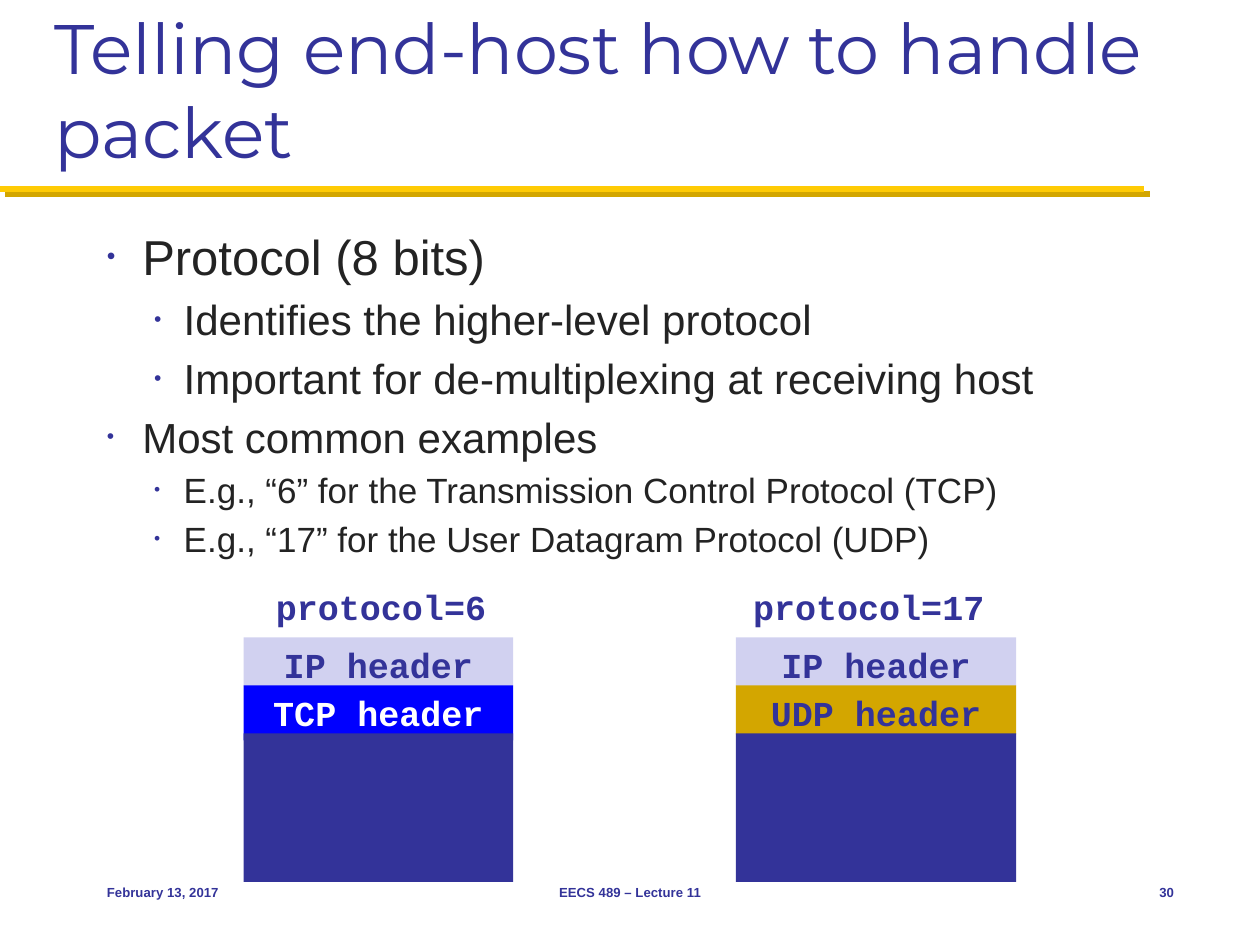
import pptx
import pptx.util
import pptx.dml.color
import pptx.enum.shapes
import pptx.enum.text
import pptx.oxml
import pptx.oxml.ns

Pt = pptx.util.Pt
ALIGN = pptx.enum.text.PP_ALIGN
ANCHOR = pptx.enum.text.MSO_ANCHOR

THEME = {
    "navy": "333399", "ink": "232323", "gold": "FFCB05", "dark_gold": "D3A600",
    "lilac": "D1D1F0", "blue": "0000FF", "white": "FFFFFF",
    "title_font": "Montserrat", "body_font": "Arial", "code_font": "Courier New",
    "title_size": 40, "code_size": 20, "footer_size": 7.5,
}

TITLE = "Telling end-host how to handle packet"
BULLETS = [  # level, size, text
    (0, 28, "Protocol (8 bits)"),
    (1, 24, "Identifies the higher-level protocol"),
    (1, 24, "Important for de-multiplexing at receiving host"),
    (0, 24, "Most common examples"),
    (1, 20, "E.g., “6” for the Transmission Control Protocol (TCP)"),
    (1, 20, "E.g., “17” for the User Datagram Protocol (UDP)"),
]
INDENTS = [(20.25, -20.25), (43.9, -16.9)]  # left margin, first line
PACKETS = [
    {"left": 139.25, "width": 154, "label": "protocol=6", "label_left": 148,
     "label_width": 139.5, "header": "TCP header", "fill": "blue",
     "ink": "white", "header_height": 31.5},
    {"left": 420.5, "width": 160.25, "label": "protocol=17", "label_left": 420.5,
     "label_width": 152, "header": "UDP header", "fill": "dark_gold",
     "ink": "navy", "header_height": 28},
]
LABEL_TOP, STACK_TOP, ROW_STEP, ROW_HEIGHT, STACK_BOTTOM = 331, 364.25, 27.4, 28, 504
FOOTERS = [  # left, width, alignment, text
    (54, 150, ALIGN.LEFT, "February 13, 2017"),
    (246, 228, ALIGN.CENTER, "EECS 489 – Lecture 11"),
    (630, 48, ALIGN.RIGHT, "30"),
]


def color(name):
    """Return a theme colour."""
    return pptx.dml.color.RGBColor.from_string(THEME[name])


def add_span(para, text, font, size, ink, bold=False):
    """Add one formatted run to a paragraph."""
    span = para.add_run()
    span.text = text
    span.font.name = THEME[font]
    span.font.size = Pt(size)
    span.font.bold = bold
    span.font.color.rgb = color(ink)


def add_box(page, left, top, width, height, anchor=ANCHOR.TOP, wrap=True):
    """Add an empty text box and return it."""
    box = page.shapes.add_textbox(Pt(left), Pt(top), Pt(width), Pt(height))
    box.text_frame.word_wrap = wrap
    box.text_frame.vertical_anchor = anchor
    return box


def add_code(box, text, ink):
    """Write centred bold code text in a box."""
    para = box.text_frame.paragraphs[0]
    para.alignment = ALIGN.CENTER
    add_span(para, text, "code_font", THEME["code_size"], ink, True)


def add_block(page, left, top, width, height, fill):
    """Add a plain filled rectangle and return it."""
    block = page.shapes.add_shape(pptx.enum.shapes.MSO_SHAPE.RECTANGLE,
                                  Pt(left), Pt(top), Pt(width), Pt(height))
    block.shadow.inherit = False
    block.fill.solid()
    block.fill.fore_color.rgb = color(fill)
    block.line.fill.background()
    block.text_frame.vertical_anchor = ANCHOR.TOP
    block.text_frame.word_wrap = False
    return block


def add_rule(page):
    """Add the gold rule with its hard shadow."""
    rule = page.shapes.add_connector(pptx.enum.shapes.MSO_CONNECTOR.STRAIGHT,
                                     Pt(0), Pt(108), Pt(654), Pt(108))
    rule.line.color.rgb = color("gold")
    rule.line.width = Pt(3.5)
    rule._element.spPr.append(pptx.oxml.parse_xml(
        f'<a:effectLst {pptx.oxml.ns.nsdecls("a")}>'
        f'<a:outerShdw dist="{Pt(4.2)}" dir="2700000" algn="ctr" rotWithShape="0">'
        f'<a:srgbClr val="{THEME["dark_gold"]}"/></a:outerShdw></a:effectLst>'))


def add_bullet(para, level, size, text):
    """Write one bulleted line."""
    para.level = level
    properties = para._p.get_or_add_pPr()
    margin, indent = INDENTS[level]
    properties.set("marL", str(Pt(margin)))
    properties.set("indent", str(Pt(indent)))
    names = pptx.oxml.ns.nsdecls("a")
    for part in (
        f'<a:spcBef {names}><a:spcPct val="20000"/></a:spcBef>',
        f'<a:buClr {names}><a:srgbClr val="{THEME["navy"]}"/></a:buClr>',
        f'<a:buSzPct {names} val="50000"/>',
        f'<a:buFont {names} typeface="{THEME["body_font"]}"/>',
        f'<a:buChar {names} char="•"/>',
    ):
        properties.append(pptx.oxml.parse_xml(part))
    add_span(para, text, "body_font", size, "ink")


def add_packet(page, packet):
    """Draw one labelled packet: IP header, transport header, payload."""
    left, width = packet["left"], packet["width"]
    rows = [
        ("IP header", ROW_HEIGHT, "lilac", "navy"),
        (packet["header"], packet["header_height"], packet["fill"], packet["ink"]),
        ("", STACK_BOTTOM - STACK_TOP - 2 * ROW_STEP, "navy", "navy"),
    ]
    for index, (text, height, fill, ink) in enumerate(rows):
        block = add_block(page, left, STACK_TOP + index * ROW_STEP, width, height, fill)
        if text:
            add_code(block, text, ink)
    label = add_box(page, packet["label_left"], LABEL_TOP, packet["label_width"],
                    ROW_HEIGHT, wrap=False)
    add_code(label, packet["label"], "navy")


def build():
    """Build and save the deck."""
    deck = pptx.Presentation()
    deck.slide_width, deck.slide_height = Pt(720), Pt(540)
    page = deck.slides.add_slide(deck.slide_layouts[6])
    add_rule(page)
    title = add_box(page, 24, 12, 672, 90, ANCHOR.BOTTOM)
    add_span(title.text_frame.paragraphs[0], TITLE, "title_font",
             THEME["title_size"], "navy")
    body = add_box(page, 54, 126, 624, 348).text_frame
    for index, bullet in enumerate(BULLETS):
        add_bullet(body.add_paragraph() if index else body.paragraphs[0], *bullet)
    for packet in PACKETS:
        add_packet(page, packet)
    for left, width, alignment, text in FOOTERS:
        footer = add_box(page, left, 492, width, 36, ANCHOR.MIDDLE)
        para = footer.text_frame.paragraphs[0]
        para.alignment = alignment
        add_span(para, text, "body_font", THEME["footer_size"], "navy", True)
    deck.save("out.pptx")


build()
